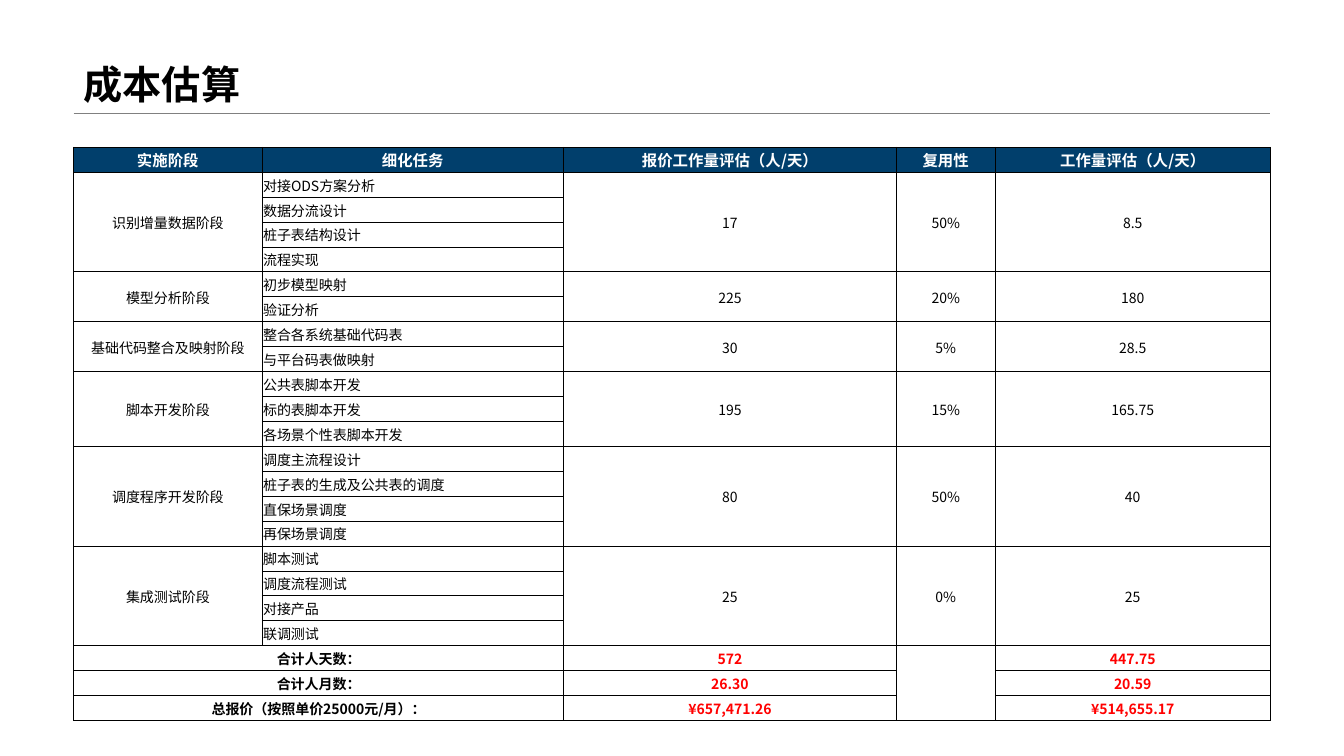
import pptx
import pptx.util
import pptx.dml.color
import pptx.enum.text
import pptx.enum.shapes
import pptx.oxml.ns
import lxml.etree

PX = 9144
FONT = "Noto Sans CJK SC"
COLORS = {
    "header": "013F6C",
    "white": "FFFFFF",
    "black": "000000",
    "total": "FF0000",
    "rule": "808080",
}
HEADERS = ["实施阶段", "细化任务", "报价工作量评估（人/天）", "复用性", "工作量评估（人/天）"]
COLUMNS = [187, 299, 330, 98, 273]
STAGES = [
    ("识别增量数据阶段", ["对接ODS方案分析", "数据分流设计", "桩子表结构设计", "流程实现"], "17", "50%", "8.5"),
    ("模型分析阶段", ["初步模型映射", "验证分析"], "225", "20%", "180"),
    ("基础代码整合及映射阶段", ["整合各系统基础代码表", "与平台码表做映射"], "30", "5%", "28.5"),
    ("脚本开发阶段", ["公共表脚本开发", "标的表脚本开发", "各场景个性表脚本开发"], "195", "15%", "165.75"),
    ("调度程序开发阶段", ["调度主流程设计", "桩子表的生成及公共表的调度", "直保场景调度", "再保场景调度"], "80", "50%", "40"),
    ("集成测试阶段", ["脚本测试", "调度流程测试", "对接产品", "联调测试"], "25", "0%", "25"),
]
TOTALS = [
    ("合计人天数：", "572", "447.75"),
    ("合计人月数：", "26.30", "20.59"),
    ("总报价（按照单价25000元/月）：", "¥657,471.26", "¥514,655.17"),
]


def rgb(name):
    return pptx.dml.color.RGBColor.from_string(COLORS[name])


def sub(parent, tag, **attrs):
    return lxml.etree.SubElement(parent, pptx.oxml.ns.qn(tag), **attrs)


def add_text(p, text, size, color, bold, latin=FONT):
    r = p.add_run()
    r.text = text
    r.font.size = pptx.util.Pt(size)
    r.font.bold = bold
    r.font.color.rgb = rgb(color)
    r.font.name = latin
    sub(r.font._element, "a:ea", typeface=FONT)


def add_title(s, x, y, w, h):
    sp = s.shapes.title
    sp.left, sp.top, sp.width, sp.height = [v * PX for v in (x, y, w, h)]
    tf = sp.text_frame
    tf.word_wrap = True
    tf.auto_size = pptx.enum.text.MSO_AUTO_SIZE.NONE
    tf.vertical_anchor = pptx.enum.text.MSO_ANCHOR.BOTTOM
    p = tf.paragraphs[0]
    p.alignment = pptx.enum.text.PP_ALIGN.LEFT
    p.line_spacing = 0.9
    add_text(p, "成本估算", 28, "black", True, "Arial")
    rule = s.shapes.add_connector(
        pptx.enum.shapes.MSO_CONNECTOR.STRAIGHT,
        x * PX, (y + h) * PX, (x + w) * PX, (y + h) * PX)
    rule.line.color.rgb = rgb("rule")
    rule.line.width = pptx.util.Pt(0.25)
    sub(rule._element.spPr, "a:effectLst")


def format_cell(cell, sides="LRTB", fill=None):
    cell.margin_left = cell.margin_right = cell.margin_top = PX
    cell.margin_bottom = 0
    cell.vertical_anchor = pptx.enum.text.MSO_ANCHOR.MIDDLE
    tcPr = cell._tc.get_or_add_tcPr()
    for side in "LRTB":
        ln = sub(tcPr, "a:ln" + side, w="6350")
        if side in sides:
            sub(sub(ln, "a:solidFill"), "a:srgbClr", val=COLORS["black"])
        else:
            sub(ln, "a:noFill")
    if fill:
        cell.fill.solid()
        cell.fill.fore_color.rgb = rgb(fill)
    else:
        cell.fill.background()


def write_cell(cell, text, size=10, color="black", bold=False, align="CENTER"):
    p = cell.text_frame.paragraphs[0]
    p.alignment = pptx.enum.text.PP_ALIGN[align]
    add_text(p, text, size, color, bold)


def add_estimate(s, x, y, w, h):
    count = 1 + sum(len(stage[1]) for stage in STAGES) + len(TOTALS)
    first_total = count - len(TOTALS)
    table = s.shapes.add_table(count, len(COLUMNS), x * PX, y * PX, w * PX, h * PX).table
    for column, width in zip(table.columns, COLUMNS):
        column.width = width * PX
    for i, row in enumerate(table.rows):
        row.height = h * PX // count
        for j, cell in enumerate(row.cells):
            sides = "LRTB"
            if j == 3 and i >= first_total:
                sides = "LR" + "T" * (i == first_total) + "B" * (i == count - 1)
            format_cell(cell, sides, None if i else "header")
    for j, text in enumerate(HEADERS):
        write_cell(table.cell(0, j), text, 11, "white", True)
    top = 1
    for stage, tasks, quoted, reuse, effort in STAGES:
        bottom = top + len(tasks) - 1
        for j, text in ((0, stage), (2, quoted), (3, reuse), (4, effort)):
            table.cell(top, j).merge(table.cell(bottom, j))
            write_cell(table.cell(top, j), text)
        for i, task in enumerate(tasks, top):
            write_cell(table.cell(i, 1), task, align="LEFT")
        top = bottom + 1
    for i, (label, quoted, effort) in enumerate(TOTALS, first_total):
        table.cell(i, 0).merge(table.cell(i, 1))
        write_cell(table.cell(i, 0), label, bold=True)
        write_cell(table.cell(i, 2), quoted, color="total", bold=True)
        write_cell(table.cell(i, 4), effort, color="total", bold=True)
    for cell in table.iter_cells():
        if not cell.text:
            sub(cell.text_frame.paragraphs[0]._p, "a:endParaRPr", sz="1000")


def main():
    prs = pptx.Presentation()
    prs.slide_width, prs.slide_height = 1333 * PX, 750 * PX
    s = prs.slides.add_slide(prs.slide_layouts[5])
    add_title(s, 73, 0, 1187, 112)
    add_estimate(s, 73, 146, 1187, 569)
    prs.save("out.pptx")


if __name__ == "__main__":
    main()
